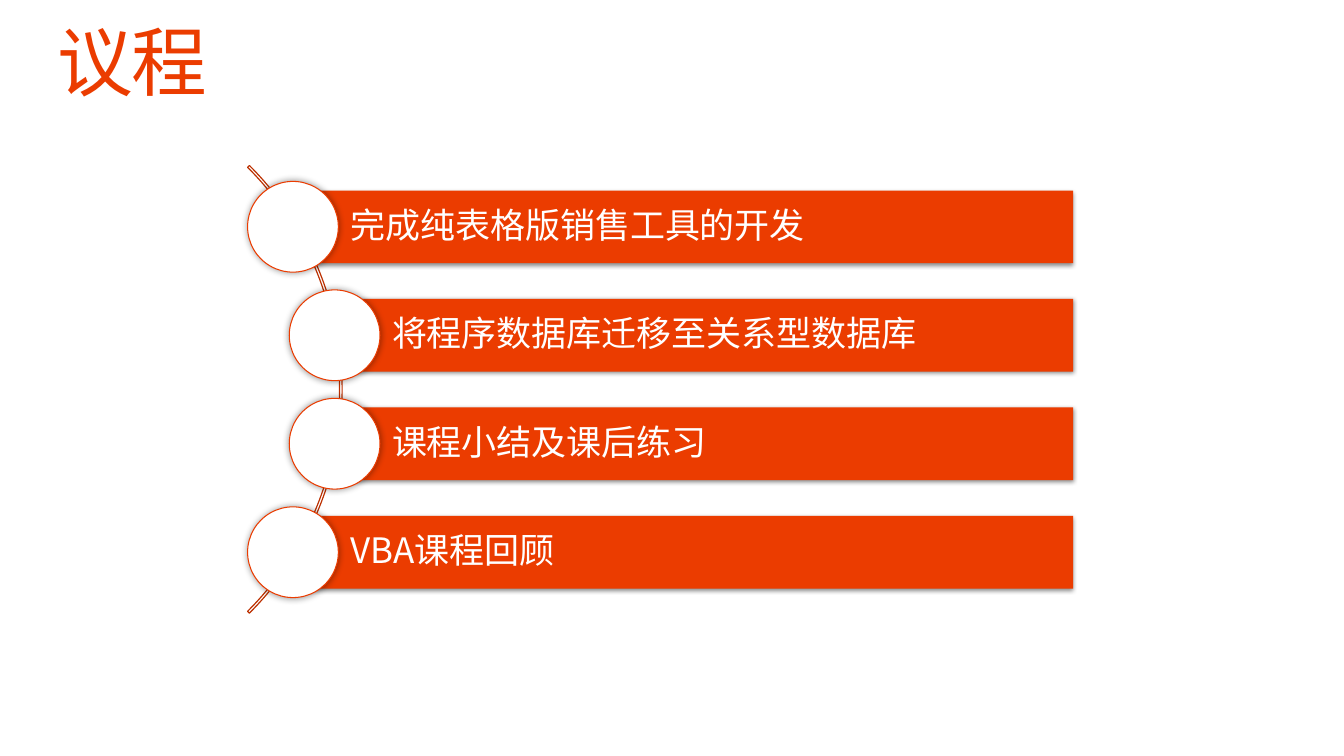
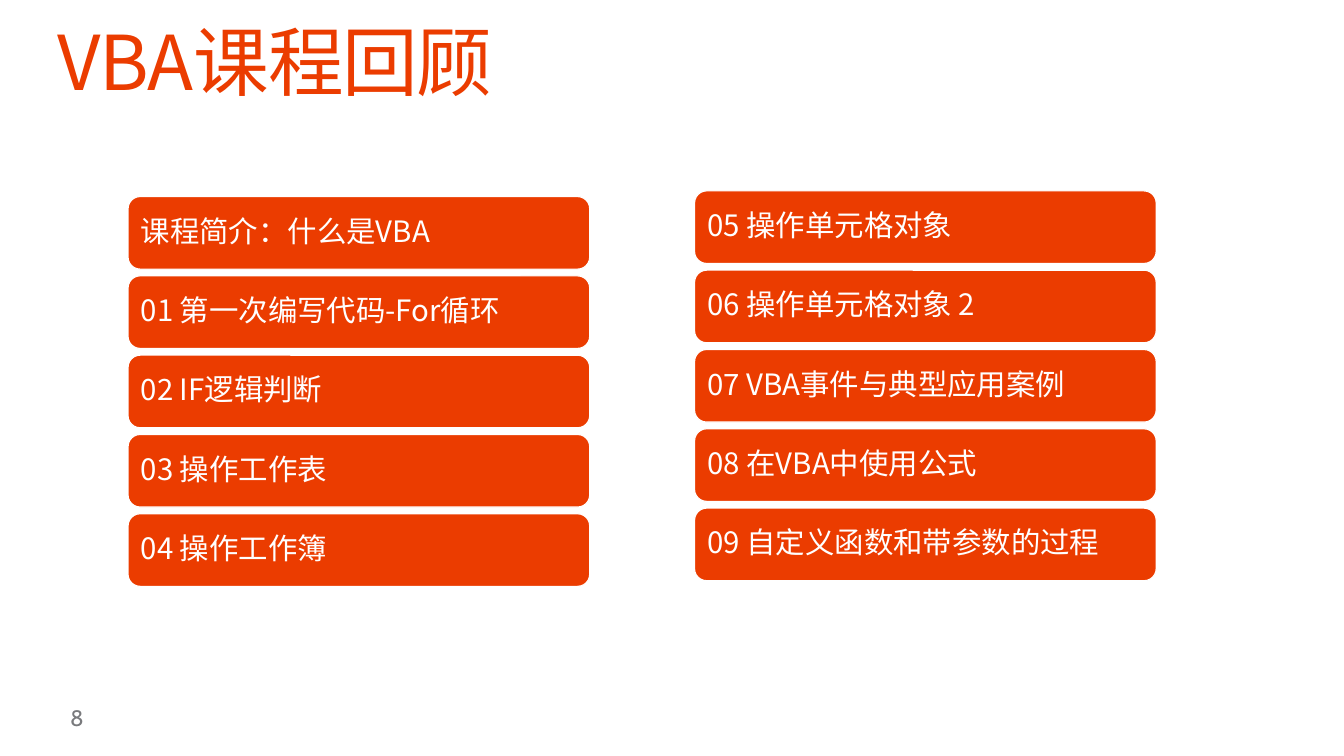
from dataclasses import dataclass

from lxml import etree
from pptx import Presentation, util as u
from pptx.dml.color import RGBColor
from pptx.enum import shapes, text
from pptx.oxml.ns import qn


@dataclass(frozen=True)
class Theme:
    accent: str = "EB3C00"
    arc: str = "BC3000"
    light: str = "FFFFFF"
    muted: str = "797A7D"
    latin: str = "Cabin"
    cjk: str = "Noto Sans CJK SC"
    title_size: int = 54
    agenda_size: int = 25
    card_size: int = 21
    number_size: int = 16
    thin: float = 0.75
    medium: float = 0.85


@dataclass(frozen=True)
class Shadow:
    """Soft black shadow; blur and distance in points, opacity in percent."""
    opacity: int
    blur: float
    distance: float
    angle: int


BAR_SHADOW = Shadow(45, 3.5, 1.1, 90)
DISC_SHADOW = Shadow(40, 5, 0, 0)


class Slides:
    """Draws on the current slide, over a grid of 100 columns by 100 rows."""

    def __init__(self, theme):
        self.theme = theme
        self.deck = Presentation()
        self.deck.slide_width = u.Inches(13.33)
        self.deck.slide_height = u.Inches(7.5)
        self.column = self.deck.slide_width / 100
        self.row = self.deck.slide_height / 100
        self.page = None

    def new_page(self, title):
        self.page = self.deck.slides.add_slide(self.deck.slide_layouts[6])
        font = self.theme.cjk if title.startswith("VBA") else self.theme.latin
        box = self.text_box(4.28, 3.33, 91.43, 10.93)
        self.set_text(box, title, self.theme.title_size, self.theme.accent,
                      font=font, anchor=text.MSO_ANCHOR.TOP, tracking=-1)

    def place(self, left, top, width, height):
        return (round(left * self.column), round(top * self.row),
                round(width * self.column), round(height * self.row))

    def text_box(self, *area):
        return self.page.shapes.add_textbox(*self.place(*area))

    def shape(self, kind, area, fill=None, line=None, weight=0, shadow=None):
        shape = self.page.shapes.add_shape(kind, *self.place(*area))
        shape.shadow.inherit = False
        if fill:
            shape.fill.solid()
            shape.fill.fore_color.rgb = RGBColor.from_string(fill)
        else:
            shape.fill.background()
        if line:
            shape.line.color.rgb = RGBColor.from_string(line)
            shape.line.width = u.Pt(weight)
        else:
            shape.line.fill.background()
        if shadow:
            self.cast(shape, shadow)
        return shape

    def cast(self, shape, shadow):
        effects = shape.element.spPr.find(qn("a:effectLst"))
        outer = etree.SubElement(
            effects, qn("a:outerShdw"), blurRad=str(u.Pt(shadow.blur)),
            dist=str(u.Pt(shadow.distance)), dir=str(shadow.angle * 60000),
            rotWithShape="0")
        color = etree.SubElement(outer, qn("a:srgbClr"), val="000000")
        etree.SubElement(color, qn("a:alpha"), val=str(shadow.opacity * 1000))

    def set_text(self, shape, words, size, color, font=None, lead=0, inset=0,
                 anchor=text.MSO_ANCHOR.MIDDLE, spacing=0.9, tracking=0):
        """Fill a shape with one paragraph; lead is the left inset in points."""
        frame = shape.text_frame
        frame.word_wrap = True
        frame.vertical_anchor = anchor
        frame.margin_left = u.Pt(lead)
        frame.margin_top = frame.margin_right = frame.margin_bottom = u.Pt(inset)
        para = frame.paragraphs[0]
        para.text = words
        para.alignment = text.PP_ALIGN.LEFT
        para.line_spacing = spacing
        para.font.size = u.Pt(size)
        para.font.name = font or self.theme.cjk
        para.font.color.rgb = RGBColor.from_string(color)
        style = para._p.pPr.find(qn("a:defRPr"))
        if tracking:
            style.set("spc", str(tracking * 100))
        east_asian = etree.Element(qn("a:ea"), typeface=self.theme.cjk)
        style.find(qn("a:latin")).addnext(east_asian)

    def round_area(self, center_x, center_y, diameter):
        """Area of a circle whose diameter is given in rows."""
        width = diameter * self.row / self.column
        return center_x - width / 2, center_y - diameter / 2, width, diameter

    def arc(self, center_x, center_y, diameter):
        arc = self.shape(shapes.MSO_SHAPE.BLOCK_ARC,
                         self.round_area(center_x, center_y, diameter),
                         line=self.theme.arc, weight=self.theme.medium)
        for index, value in enumerate((189, 27, 0.004)):
            arc.adjustments[index] = value

    def agenda_item(self, words, left, top, right, height):
        """A bar with a disc centred on its left end."""
        bar = self.shape(shapes.MSO_SHAPE.RECTANGLE,
                         (left, top, right - left, height),
                         fill=self.theme.accent, shadow=BAR_SHADOW)
        self.set_text(bar, words, self.theme.agenda_size, self.theme.light,
                      lead=41, inset=5)
        self.shape(shapes.MSO_SHAPE.OVAL,
                   self.round_area(left, top + height / 2, height * 1.25),
                   fill=self.theme.light, line=self.theme.accent,
                   weight=self.theme.thin, shadow=DISC_SHADOW)

    def card(self, words, *area):
        card = self.shape(shapes.MSO_SHAPE.ROUNDED_RECTANGLE, area,
                          fill=self.theme.accent, line=self.theme.light,
                          weight=self.theme.medium)
        self.set_text(card, words, self.theme.card_size, self.theme.light,
                      lead=6.5, inset=6.5)

    def page_number(self, number):
        box = self.text_box(4.28, 93.33, 4.58, 3.2)
        self.set_text(box, str(number), self.theme.number_size,
                      self.theme.muted, font=self.theme.latin, lead=9,
                      inset=5, spacing=1)


AGENDA = ("完成纯表格版销售工具的开发", "将程序数据库迁移至关系型数据库",
          "课程小结及课后练习", "VBA课程回顾")
LESSONS = (
    ("课程简介：什么是VBA", "01 第一次编写代码-For循环", "02 IF逻辑判断",
     "03 操作工作表", "04 操作工作簿"),
    ("05 操作单元格对象", "06 操作单元格对象 2", "07 VBA事件与典型应用案例",
     "08 在VBA中使用公式", "09 自定义函数和带参数的过程"),
)
BAND_HEIGHT = 9.6


def agenda_page(slides):
    slides.new_page("议程")
    slides.arc(1.9, 51.5, 83.73)
    outer, inner = 21.8, 24.9
    for index, words in enumerate(AGENDA):
        left = outer if index in (0, len(AGENDA) - 1) else inner
        slides.agenda_item(words, left, 25.2 + index * 14.35, 79.84, BAND_HEIGHT)


def review_page(slides):
    slides.new_page("VBA课程回顾")
    slides.page_number(8)
    for left, top, lessons in zip((9.53, 51.68), (26, 25.25), LESSONS):
        for index, words in enumerate(lessons):
            slides.card(words, left, top + index * 10.49, 34.35, BAND_HEIGHT)


def main():
    slides = Slides(Theme())
    agenda_page(slides)
    review_page(slides)
    slides.deck.save("out.pptx")


if __name__ == "__main__":
    main()
